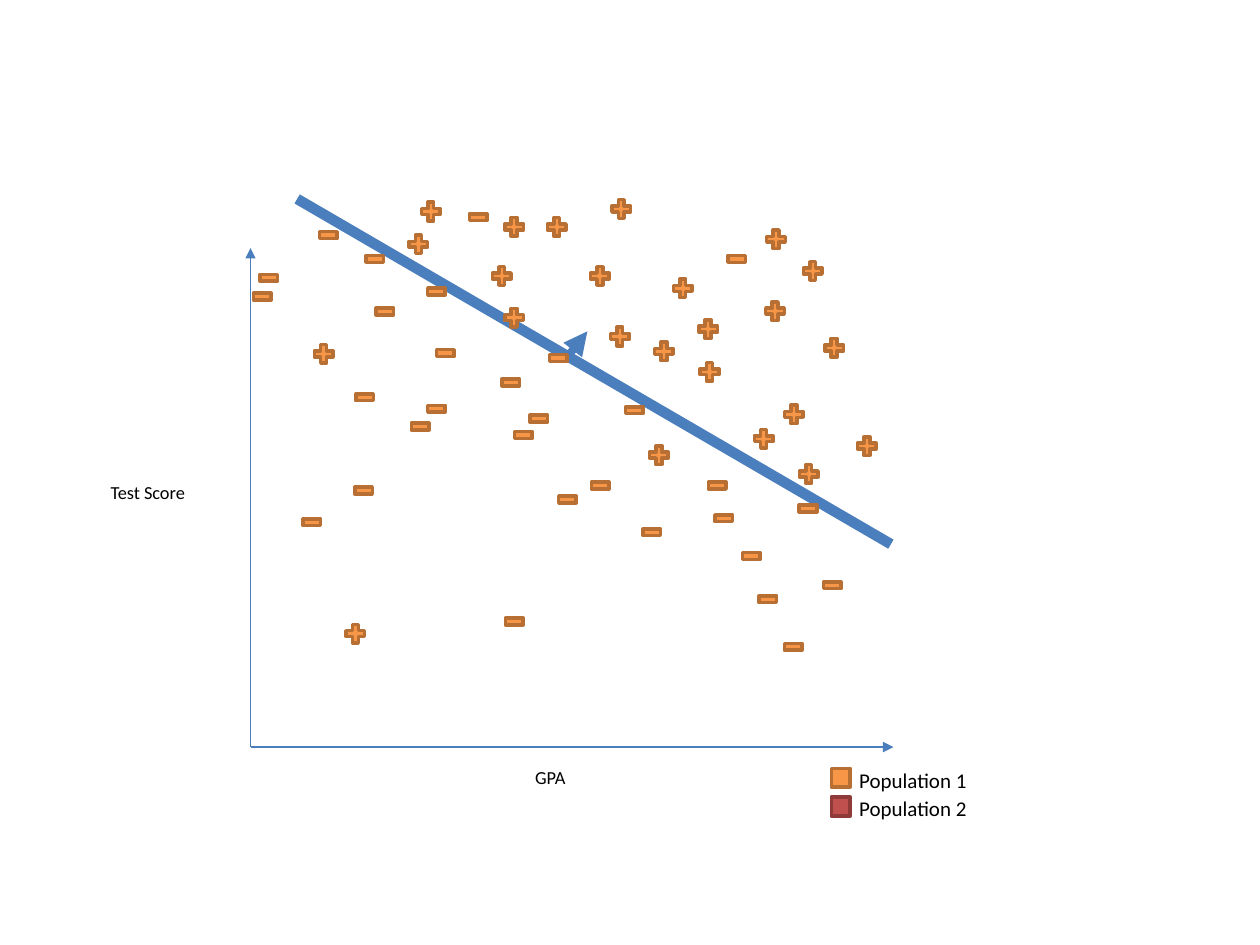
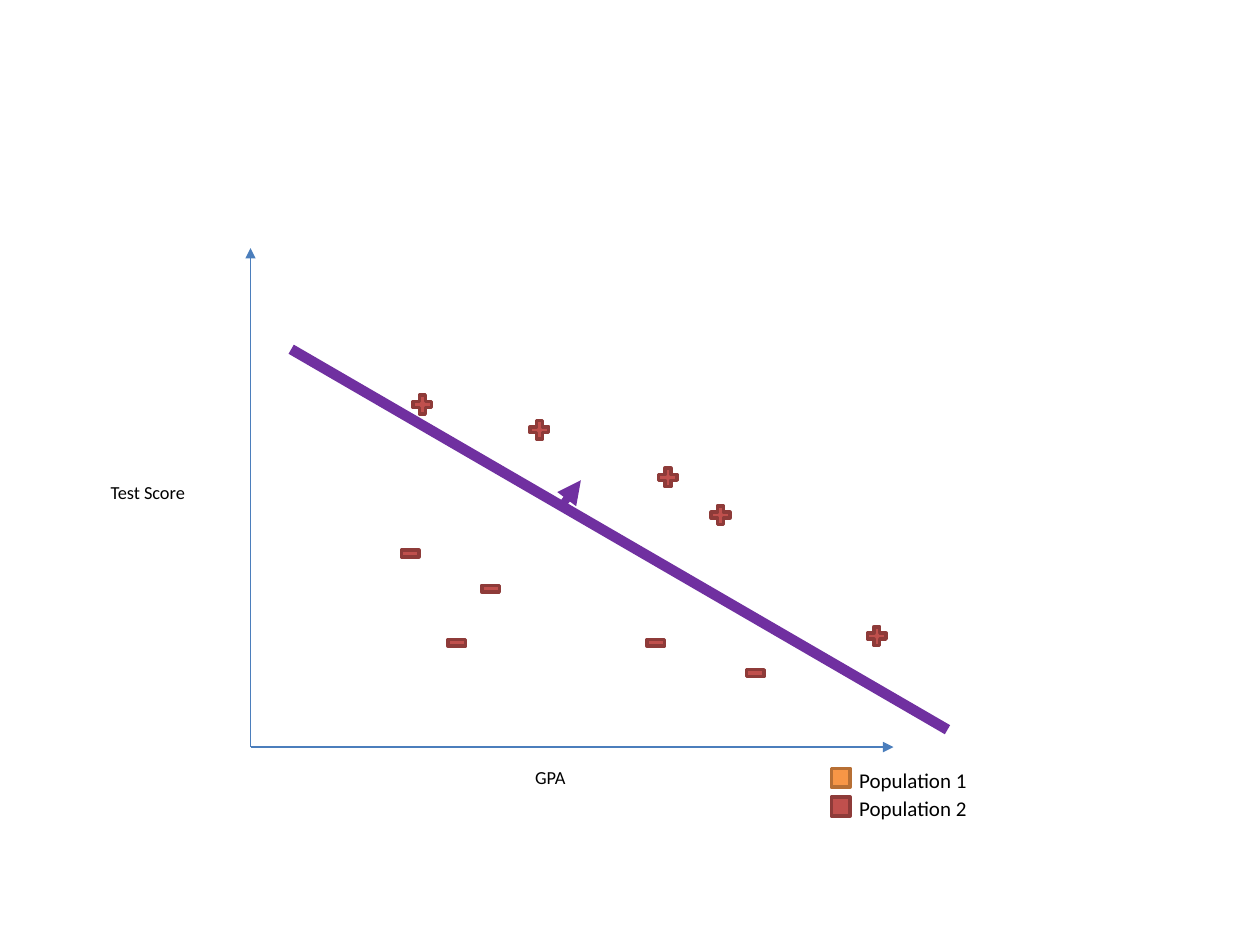
"""Build two scatter slides of admission data, each with a separating line."""
from lxml.etree import SubElement
from pptx import Presentation
from pptx.dml.color import RGBColor
from pptx.enum.shapes import MSO_CONNECTOR, MSO_SHAPE
from pptx.enum.text import MSO_AUTO_SIZE
from pptx.oxml.ns import qn
from pptx.util import Cm, Pt

COLORS = {
    "axis": "4B7EBC",
    "purple": "7030A0",
    "orange": "F79646",
    "orange_edge": "B76F34",
    "red": "C0504D",
    "red_edge": "8E3B39",
    "text": "000000",
}
FONT = "Calibri"

ORIGIN = (5.05, 15.06)
AXIS_ENDS = [(5.05, 5), (18.01, 15.06)]
AXIS_LABELS = [
    ("Test Score", (1.98, 9.58, 2.01, 0.71)),
    ("GPA", (10.54, 15.32, 1.17, 0.71)),
]
LEGEND = [("Population 1", "orange"), ("Population 2", "red")]
LEGEND_LEFT, LEGEND_TOP, LEGEND_STEP, SWATCH = 16.76, 15.49, 0.58, 0.38

PLUS = (MSO_SHAPE.MATH_PLUS, 0.51, 0.51)
MINUS = (MSO_SHAPE.MATH_MINUS, 0.48, 0.58)

PLOTS = [
    {
        "color": "orange",
        "line_color": "axis",
        "boundary": ((17.96, 10.97), (5.99, 4.01)),
        "normal": ((11.48, 7.14), (11.84, 6.68)),
        "plus": [
            (15.75, 8.1), (13.51, 5.56), (13.03, 8.92), (9.86, 5.31),
            (8.43, 4.01), (16.05, 9.3), (12.27, 3.96), (10.11, 6.15),
            (6.91, 12.52), (16.13, 5.21), (11.84, 5.31), (14.05, 7.24),
            (16.56, 6.76), (10.11, 4.32), (13.13, 6.83), (15.14, 8.59),
            (8.18, 4.67), (15.39, 4.57), (6.27, 6.88), (15.37, 6.02),
            (10.97, 4.32), (12.24, 6.53), (17.22, 8.74), (14.02, 6.38),
        ],
        "minus": [
            (5.18, 5.31), (16.05, 9.96), (7.52, 5.99), (8.56, 5.59),
            (14.61, 4.93), (9.4, 4.09), (11.86, 9.5), (10.62, 8.15),
            (8.74, 6.83), (12.55, 7.98), (7.32, 4.93), (14.91, 10.92),
            (8.56, 7.95), (10.13, 12.24), (8.23, 8.31), (15.75, 12.75),
            (6.05, 10.24), (11.02, 6.93), (12.9, 10.44), (10.06, 7.42),
            (14.35, 10.16), (16.54, 11.51), (6.38, 4.45), (7.09, 9.6),
            (11.2, 9.78), (10.31, 8.48), (15.24, 11.79), (7.11, 7.72),
            (5.05, 5.69), (14.22, 9.5),
        ],
    },
    {
        "color": "red",
        "line_color": "purple",
        "boundary": ((19.1, 14.71), (5.87, 7.04)),
        "normal": ((11.35, 10.16), (11.71, 9.68)),
        "plus": [
            (17.42, 12.57), (14.27, 10.13), (10.62, 8.41), (8.26, 7.9),
            (13.21, 9.37),
        ],
        "minus": [
            (14.99, 13.28), (12.98, 12.67), (9.65, 11.58), (8.97, 12.67),
            (8.03, 10.87),
        ],
    },
]


def rgb(name):
    return RGBColor.from_string(COLORS[name])


def add_line(shapes, start, end, color, width, arrow=False):
    ends = [Cm(v) for v in (*start, *end)]
    sp = shapes.add_connector(MSO_CONNECTOR.STRAIGHT, *ends)
    sp.line.color.rgb = rgb(color)
    sp.line.width = Pt(width)
    if arrow:
        SubElement(sp.line._get_or_add_ln(), qn("a:tailEnd"), type="triangle")
    SubElement(sp._element.spPr, qn("a:effectLst"))


def add_mark(shapes, kind, left, top, width, height, color):
    sp = shapes.add_shape(kind, Cm(left), Cm(top), Cm(width), Cm(height))
    sp.shadow.inherit = False
    sp.fill.solid()
    sp.fill.fore_color.rgb = rgb(color)
    sp.line.color.rgb = rgb(color + "_edge")
    sp.line.width = Pt(2)


def add_label(shapes, text, box, size):
    tf = shapes.add_textbox(*[Cm(v) for v in box]).text_frame
    tf.word_wrap = False
    tf.auto_size = MSO_AUTO_SIZE.SHAPE_TO_FIT_TEXT
    tf.text = text
    font = tf.paragraphs[0].runs[0].font
    font.name = FONT
    font.size = Pt(size)
    font.color.rgb = rgb("text")


def add_frame(shapes):
    for end in AXIS_ENDS:
        add_line(shapes, ORIGIN, end, "axis", 0.75, arrow=True)
    for text, box in AXIS_LABELS:
        add_label(shapes, text, box, 10.5)
    for i, (text, color) in enumerate(LEGEND):
        top = LEGEND_TOP + i * LEGEND_STEP
        add_mark(shapes, MSO_SHAPE.RECTANGLE, LEGEND_LEFT, top, SWATCH, SWATCH, color)
        add_label(shapes, text, (LEGEND_LEFT + 0.31, top - 0.15, 2.69, 0.76), 12)


def add_plot(shapes, plot):
    group = shapes.add_group_shape().shapes
    add_line(group, *plot["boundary"], plot["line_color"], 6)
    add_line(group, *plot["normal"], plot["line_color"], 4.5, arrow=True)
    for key, (kind, width, height) in (("plus", PLUS), ("minus", MINUS)):
        for left, top in plot[key]:
            add_mark(shapes, kind, left, top, width, height, plot["color"])


def main():
    prs = Presentation()
    prs.slide_width, prs.slide_height = Cm(25.4), Cm(19.05)
    for plot in PLOTS:
        s = prs.slides.add_slide(prs.slide_layouts[6])
        add_frame(s.shapes)
        add_plot(s.shapes, plot)
    prs.save("out.pptx")


if __name__ == "__main__":
    main()
